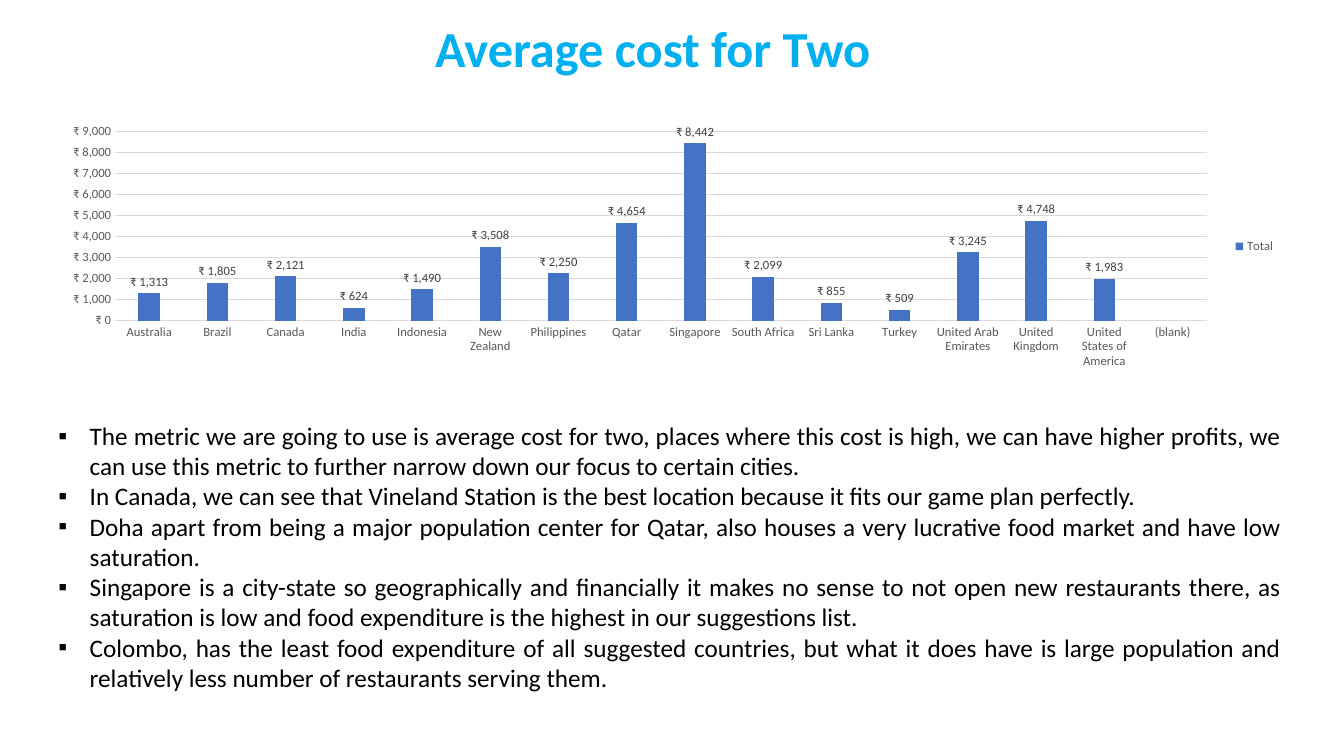
import lxml.etree
import pptx
import pptx.chart.data
import pptx.dml.color
import pptx.enum.chart
import pptx.enum.text
import pptx.oxml.ns
import pptx.util

COSTS = {
    "Australia": 1313, "Brazil": 1805, "Canada": 2121, "India": 624,
    "Indonesia": 1490, "New Zealand": 3508, "Philippines": 2250, "Qatar": 4654,
    "Singapore": 8442, "South Africa": 2099, "Sri Lanka": 855, "Turkey": 509,
    "United Arab Emirates": 3245, "United Kingdom": 4748,
    "United States of America": 1983, "(blank)": None,
}
FINDINGS = [
    "The metric we are going to use is average cost for two, places where this cost is high, we can have higher profits, we can use this metric to further narrow down our focus to certain cities.",
    "In Canada, we can see that Vineland Station is the best location because it fits our game plan perfectly.",
    "Doha apart from being a major population center for Qatar, also houses a very lucrative food market and have low saturation.",
    "Singapore is a city-state so geographically and financially it makes no sense to not open new restaurants there, as saturation is low and food expenditure is the highest in our suggestions list.",
    "Colombo, has the least food expenditure of all suggested countries, but what it does have is large population and relatively less number of restaurants serving them.",
]


def rgb(value):
    return pptx.dml.color.RGBColor.from_string(value)


def assign(target, values):
    for name, value in values.items():
        setattr(target, name, value)


class Deck:
    FONT = "Calibri"
    RUPEES = '"₹"\\ #,##0'
    GRID = 100

    def __init__(self):
        self.prs = pptx.Presentation()
        assign(self.prs, {"slide_width": pptx.util.Inches(13.33),
                          "slide_height": pptx.util.Inches(7.5)})
        self.s = self.prs.slides.add_slide(self.prs.slide_layouts[1])

    def box(self, col, row, cols, rows):
        w = self.prs.slide_width / self.GRID
        h = self.prs.slide_height / self.GRID
        return [round(v) for v in (col * w, row * h, cols * w, rows * h)]

    def font(self, font, size, color, bold=False):
        assign(font, {"name": self.FONT, "size": pptx.util.Pt(size), "bold": bold})
        font.color.rgb = rgb(color)

    def line(self, line, color):
        line.color.rgb = rgb(color)
        line.width = pptx.util.Pt(0.75)

    def place(self, sp, area):
        assign(sp, dict(zip(("left", "top", "width", "height"), self.box(*area))))
        assign(sp.text_frame, {
            "word_wrap": True,
            "auto_size": pptx.enum.text.MSO_AUTO_SIZE.NONE,
            "vertical_anchor": pptx.enum.text.MSO_ANCHOR.TOP,
        })
        return sp.text_frame

    def title(self, text, area):
        tf = self.place(self.s.shapes.title, area)
        tf.text = text
        p = tf.paragraphs[0]
        p.alignment = pptx.enum.text.PP_ALIGN.CENTER
        self.font(p.runs[0].font, 36, "00B0F0", True)

    def bullets(self, items, area):
        tf = self.place(self.s.placeholders[1], area)
        tf.text = "\n".join(items)
        indent = pptx.util.Inches(0.31)
        for p in tf.paragraphs:
            pPr = p._p.get_or_add_pPr()
            assign(pPr, {})
            pPr.set("marL", str(indent))
            pPr.set("indent", str(-indent))
            for tag, key, value in (("a:buFont", "typeface", "Arial"),
                                    ("a:buChar", "char", "▪")):
                lxml.etree.SubElement(pPr, pptx.oxml.ns.qn(tag)).set(key, value)
            assign(p, {"alignment": pptx.enum.text.PP_ALIGN.JUSTIFY,
                       "space_before": pptx.util.Pt(0)})
            self.font(p.runs[0].font, 18, "000000")

    def columns(self, name, values, area):
        data = pptx.chart.data.CategoryChartData(number_format=self.RUPEES)
        data.categories = list(values)
        data.add_series(name, list(values.values()))
        kinds = pptx.enum.chart
        chart = self.s.shapes.add_chart(
            kinds.XL_CHART_TYPE.COLUMN_CLUSTERED, *self.box(*area), data).chart
        assign(chart, {"has_title": False, "has_legend": True})
        self.font(chart.font, 10, "000000")
        assign(chart.legend, {"position": kinds.XL_LEGEND_POSITION.RIGHT,
                              "include_in_layout": False})
        self.font(chart.legend.font, 9, "595959")

        for axis in (chart.category_axis, chart.value_axis):
            assign(axis, {"major_tick_mark": kinds.XL_TICK_MARK.NONE,
                          "minor_tick_mark": kinds.XL_TICK_MARK.NONE})
            self.font(axis.tick_labels.font, 9, "595959")
        self.line(chart.category_axis.format.line, "D9D9D9")
        axis = chart.value_axis
        axis.format.line.fill.background()
        self.line(axis.major_gridlines.format.line, "D9D9D9")
        number = {"number_format": self.RUPEES, "number_format_is_linked": False}
        assign(axis.tick_labels, number)

        plot = chart.plots[0]
        assign(plot, {"gap_width": 219, "overlap": -27, "vary_by_categories": False})
        fill = plot.series[0].format.fill
        fill.solid()
        fill.fore_color.rgb = rgb("4472C4")
        labels = plot.series[0].data_labels
        assign(labels, {"show_value": True, **number,
                        "position": kinds.XL_LABEL_POSITION.OUTSIDE_END})
        self.font(labels.font, 9, "404040")


def main():
    deck = Deck()
    deck.bullets(FINDINGS, (3.6, 54.93, 92.5, 37.73))
    deck.columns("Total", COSTS, (3.6, 15.73, 92.05, 33.73))
    deck.title("Average cost for Two", (23.56, 1.6, 50.04, 9.47))
    deck.prs.save("out.pptx")


if __name__ == "__main__":
    main()
